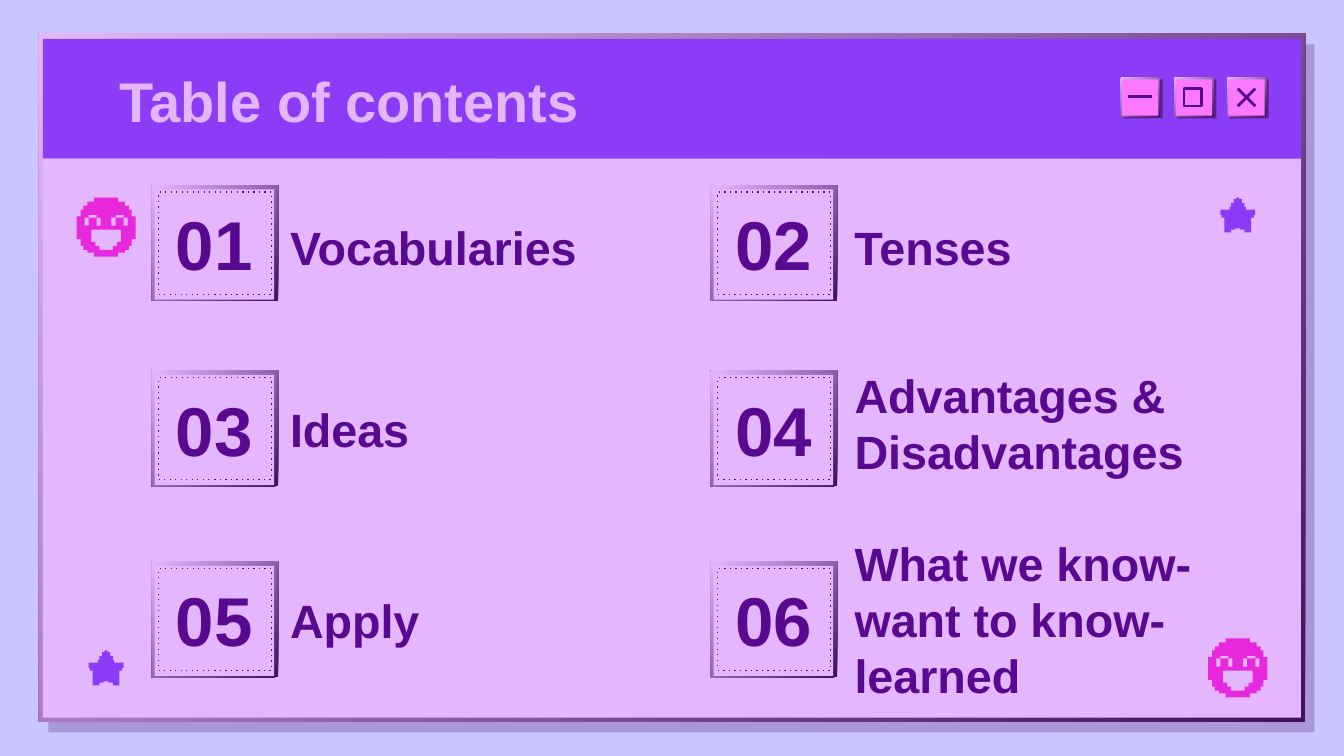
import pptx
import pptx.util
import pptx.dml.color
import pptx.enum.dml
import pptx.enum.shapes
import pptx.enum.text
import pptx.oxml.ns
import lxml.etree

TITLE = "Table of contents"
ROW_TOPS = [1.38, 2.76, 4.18]
COLUMNS = [{"box": 1.13, "label": 2.06}, {"box": 5.29, "label": 6.26}]
TOPICS = [
    ("Vocabularies", 1.53, 2.56, 0.58), ("Tenses", 1.53, 2.56, 0.58),
    ("Ideas", 2.88, 2.56, 0.58), ("Advantages &\vDisadvantages", 2.63, 2.82, 0.95),
    ("Apply", 4.3, 2.56, 0.58), ("What we know-\vwant to know-\vlearned", 3.88, 2.82, 1.33),
]
BACKGROUND, DARK, LILAC = "CAC4FF", "440F5C", "E4B6FE"
VIOLET, INK, PINK, MAGENTA = "8A3CF6", "570990", "FA79FF", "E728DC"

EYE = [(0.03, 0.15), (0.06, 0.21), (0.03, 0.15)]
FACE = [
    (0.22, 0, [(0.09, 0.03), (0.14, 0.06), (0.17, 0.09), (0.19, 0.14), (0.22, 0.31),
               (0.19, 0.36), (0.17, 0.39), (0.14, 0.41), (0.09, 0.44)]),
    (0.12, 0.13, EYE),
    (0.32, 0.13, EYE),
    (0.22, 0.24, [(0.11, 0.33), (0.08, 0.36), (0.05, 0.39)]),
]
STAR = [
    (0.13, 0, [(0.01, 0.01), (0.03, 0.04), (0.05, 0.07), (0.06, 0.09), (0.13, 0.13),
               (0.12, 0.15), (0.1, 0.26), (0.05, 0.24), (0.02, 0.23)]),
]
STICKERS = [
    (FACE, 8.99, 4.75, MAGENTA), (STAR, 0.66, 4.84, VIOLET),
    (STAR, 9.08, 1.47, VIOLET), (FACE, 0.57, 1.47, MAGENTA),
]
BUTTON_LEFTS, BUTTON_TOP = [8.34, 8.74, 9.13], 0.58
ICON_LINES = [
    (8.39, 0.72, 8.57, 0.72), (9.21, 0.79, 9.34, 0.66), (9.21, 0.66, 9.34, 0.79),
]

inch = pptx.util.Inches
deck = pptx.Presentation()
deck.slide_width = inch(10)
deck.slide_height = deck.slide_width * 9 // 16
page = deck.slides.add_slide(deck.slide_layouts[5])


def color(code):
    return pptx.dml.color.RGBColor.from_string(code)


def paint(fill, code, opacity=100):
    fill.solid()
    fill.fore_color.rgb = color(code)
    if opacity < 100:
        for node in fill._xPr.iter(pptx.oxml.ns.qn("a:srgbClr")):
            alpha = lxml.etree.SubElement(node, pptx.oxml.ns.qn("a:alpha"))
            alpha.set("val", str(opacity * 1000))


def rectangle(left, top, width, height, code=None, opacity=100):
    box = page.shapes.add_shape(pptx.enum.shapes.MSO_SHAPE.RECTANGLE,
                                inch(left), inch(top), inch(width), inch(height))
    box.shadow.inherit = False
    box.line.fill.background()
    if code:
        paint(box.fill, code, opacity)
    else:
        box.fill.background()
    return box


def bevel(left, top, width, height):
    box = rectangle(left, top, width, height)
    box.fill.gradient()
    box.fill.gradient_angle = 135
    for stop, code in zip(box.fill.gradient_stops, (DARK, LILAC)):
        stop.color.rgb = color(code)


def outline(line, points):
    line.color.rgb = color(INK)
    line.width = pptx.util.Pt(points)


def write(box, text, size, code, align="LEFT", anchor="TOP"):
    frame = box.text_frame
    formats = {
        "word_wrap": True, "auto_size": pptx.enum.text.MSO_AUTO_SIZE.NONE,
        "vertical_anchor": pptx.enum.text.MSO_ANCHOR[anchor],
        "margin_left": inch(0.1), "margin_right": inch(0.1),
        "margin_top": inch(0.1), "margin_bottom": inch(0.1),
    }
    for name, value in formats.items():
        setattr(frame, name, value)
    frame.text = text
    para = frame.paragraphs[0]
    para.alignment = pptx.enum.text.PP_ALIGN[align]
    for span in para.runs:
        for name, value in {"name": "Arial", "size": pptx.util.Pt(size), "bold": True}.items():
            setattr(span.font, name, value)
        span.font.color.rgb = color(code)


def text_box(left, top, width, height, *content):
    box = page.shapes.add_textbox(inch(left), inch(top), inch(width), inch(height))
    write(box, *content)


def staircase(center, top, rows):
    side = []
    for half, bottom in rows:
        side += [(half, top), (half, bottom)]
        top = bottom
    right = [(center + half, y) for half, y in side]
    left = [(center - half, y) for half, y in reversed(side)]
    return right + left


def sticker(contours, left, top, code):
    builder = None
    for contour in contours:
        points = [(inch(left + x), inch(top + y)) for x, y in staircase(*contour)]
        if builder is None:
            builder = page.shapes.build_freeform(*points[0])
        else:
            builder.move_to(*points[0])
        builder.add_line_segments(points[1:], close=True)
    shape = builder.convert_to_shape()
    shape.shadow.inherit = False
    shape.line.fill.background()
    paint(shape.fill, code)


paint(page.background.fill, BACKGROUND)
rectangle(0.36, 0.33, 9.42, 5.12, DARK, 24)
bevel(0.29, 0.25, 9.42, 5.12)
rectangle(0.32, 0.29, 9.36, 0.89, VIOLET)
rectangle(0.32, 1.18, 9.36, 4.16, LILAC)

title = page.shapes.title
for name, value in {"left": 0.79, "top": 0.43, "width": 8.3, "height": 0.63}.items():
    setattr(title, name, inch(value))
write(title, TITLE, 30, LILAC, "LEFT", "MIDDLE")
title.element.getparent().append(title.element)

for index, (topic, label_top, width, height) in enumerate(TOPICS):
    row, column = divmod(index, len(COLUMNS))
    left, top = COLUMNS[column]["box"], ROW_TOPS[row]
    bevel(left, top, 0.94, 0.86)
    rectangle(left + 0.02, top + 0.03, 0.89, 0.82, LILAC)
    border = rectangle(left + 0.05, top + 0.05, 0.84, 0.76)
    outline(border.line, 0.75)
    border.line.dash_style = pptx.enum.dml.MSO_LINE.ROUND_DOT
    for dash in border.element.iter(pptx.oxml.ns.qn("a:prstDash")):
        dash.set("val", "dot")
    text_box(left + 0.03, top + 0.02, 0.87, 0.65, f"{index + 1:02}", 37, INK, "CENTER")
    text_box(COLUMNS[column]["label"], label_top, width, height, topic, 25, INK)

for item in STICKERS:
    sticker(*item)

for left in BUTTON_LEFTS:
    rectangle(left + 0.02, BUTTON_TOP + 0.01, 0.29, 0.29, DARK, 65)
    bevel(left, BUTTON_TOP, 0.29, 0.29)
    rectangle(left + 0.01, BUTTON_TOP + 0.01, 0.27, 0.27, PINK)

outline(rectangle(8.81, 0.66, 0.13, 0.13).line, 1.5)
for ends in ICON_LINES:
    stroke = page.shapes.add_connector(pptx.enum.shapes.MSO_CONNECTOR.STRAIGHT, *map(inch, ends))
    outline(stroke.line, 1.5)
    lxml.etree.SubElement(stroke.element.spPr, pptx.oxml.ns.qn("a:effectLst"))

deck.save("out.pptx")
